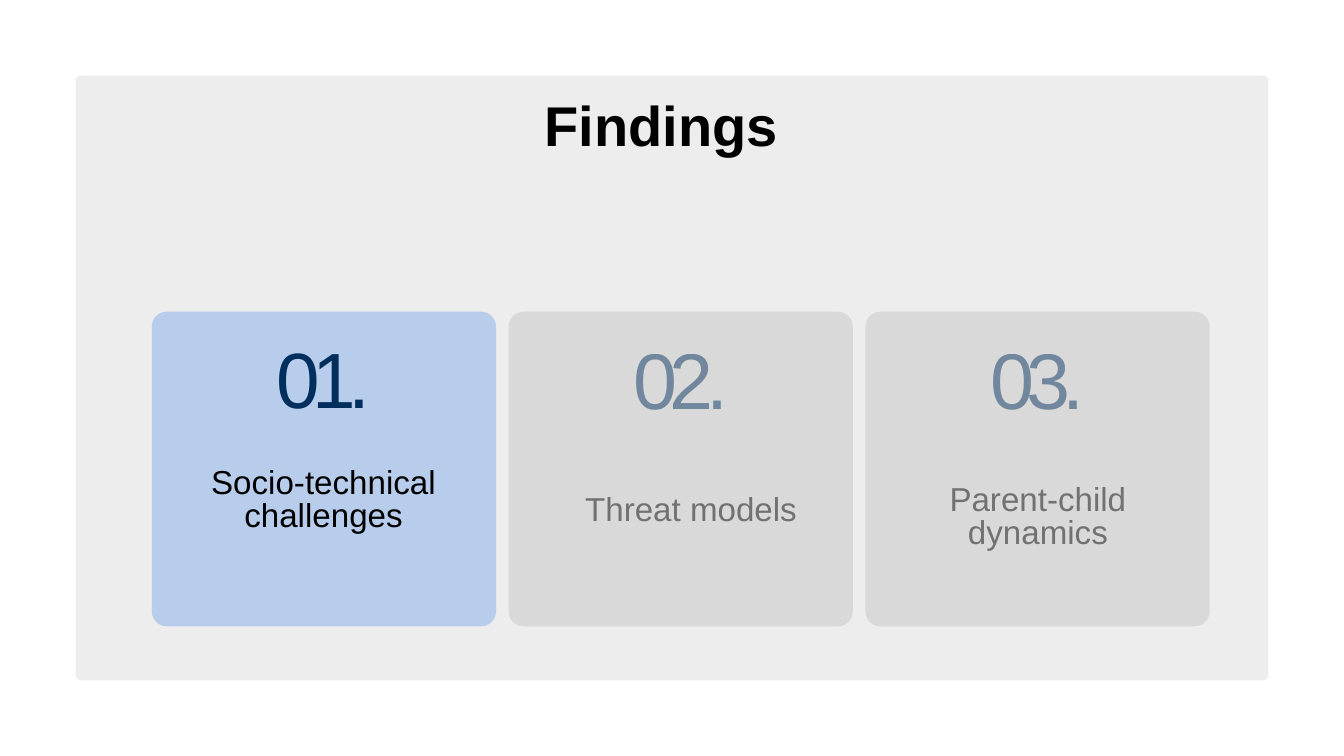
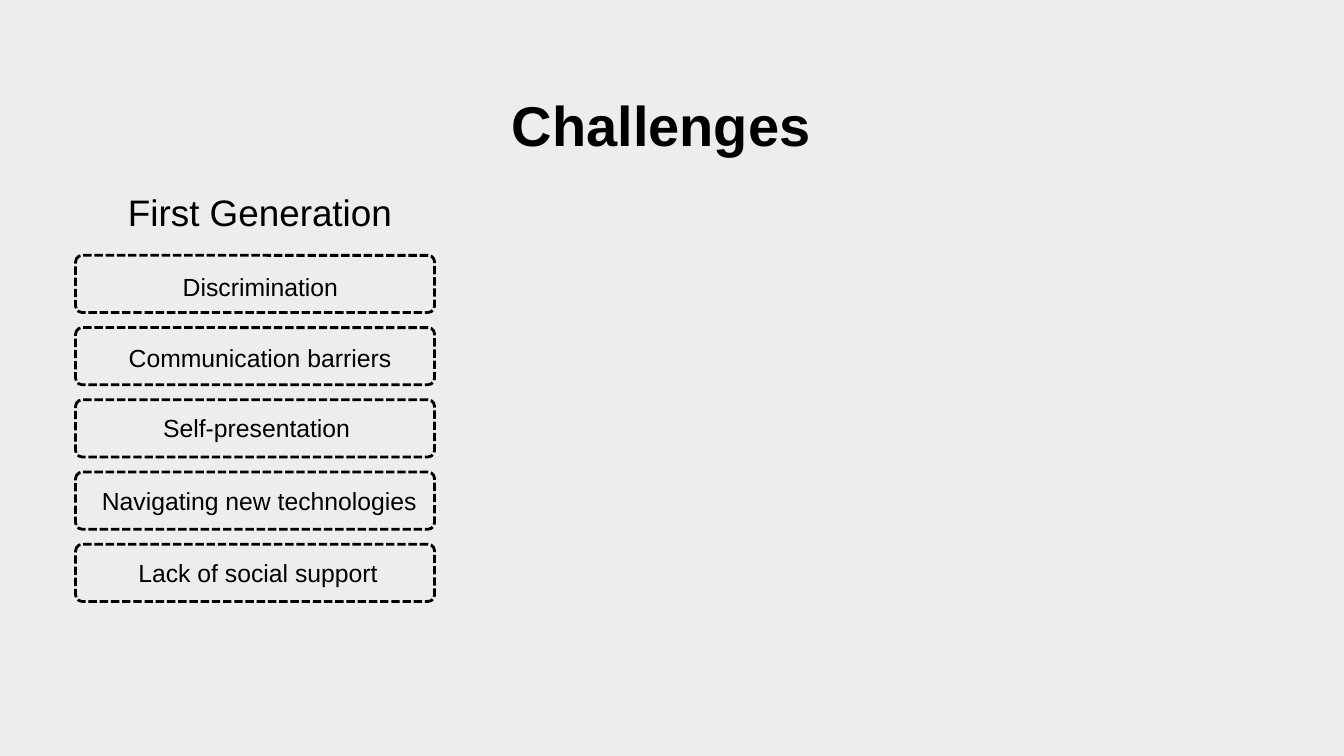
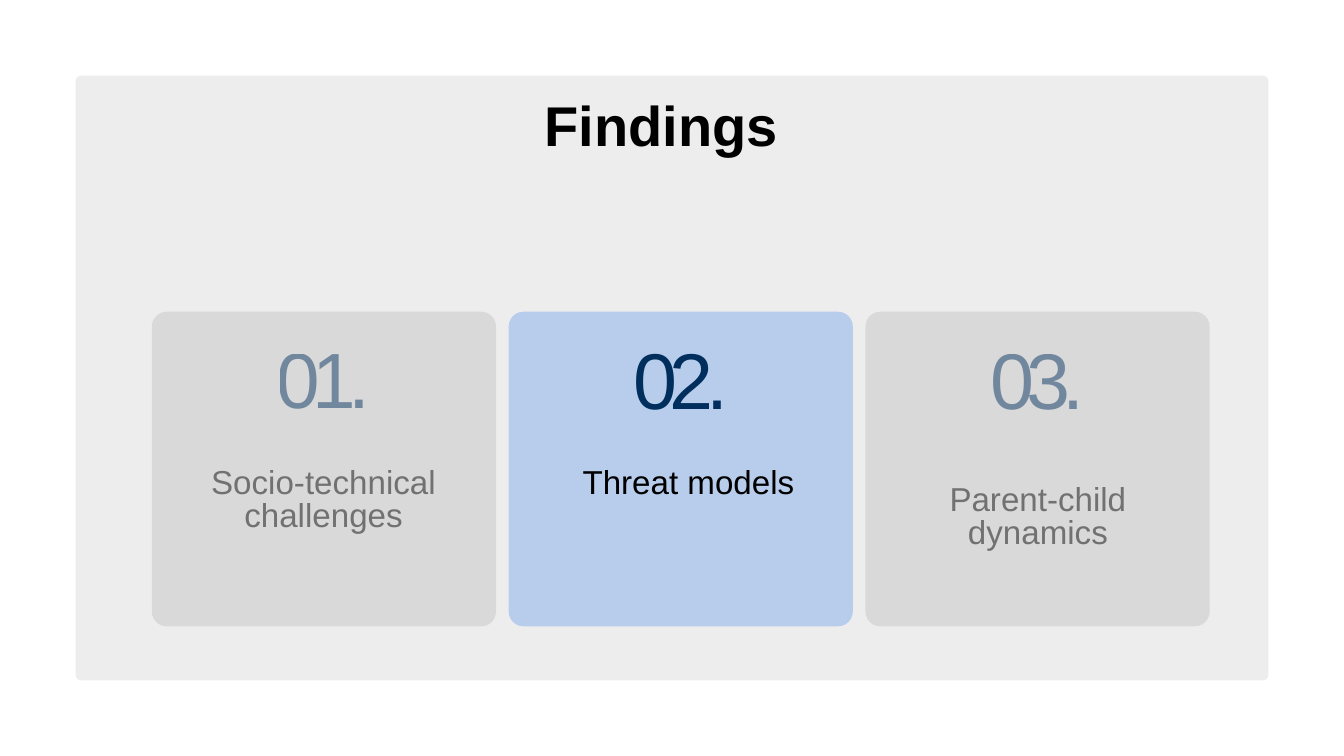
from dataclasses import dataclass

import lxml.etree
import pptx
import pptx.dml.color
import pptx.enum.dml
import pptx.enum.shapes
import pptx.enum.text
import pptx.oxml.ns
import pptx.shapes.autoshape
import pptx.slide
import pptx.util

Pt = pptx.util.Pt
RGBColor = pptx.dml.color.RGBColor

WHITE = RGBColor(0xFF, 0xFF, 0xFF)
BLACK = RGBColor(0x00, 0x00, 0x00)
NAVY = RGBColor(0x00, 0x2E, 0x5D)
BLUE = RGBColor(0xB7, 0xCD, 0xEB)
GREY = RGBColor(0xD9, 0xD9, 0xD9)
PALE = RGBColor(0xED, 0xED, 0xED)
FONT = "Arial"
FADED = 48


@dataclass(frozen=True)
class Box:
    left: float
    top: float
    width: float
    height: float


@dataclass(frozen=True)
class Style:
    size: float
    line: float
    color: RGBColor = BLACK
    bold: bool = False
    track: float = 0


@dataclass(frozen=True)
class Card:
    number: str
    style: Style
    label: str
    place: Box
    active: Box


@dataclass(frozen=True)
class Pill:
    label: str
    place: Box


TITLE = Style(60, 60, bold=True)
HEADING = Style(39.5, 55.3)
LABEL = Style(35.5, 35.5)
ITEM = Style(26.5, 37.1)
FIRST = Style(83.9, 80.5, NAVY, track=-8.1)
LATER = Style(84.7, 81.3, NAVY, track=-8.1)

PANEL = Box(81, 81, 1278, 648)
CARD = Box(162.7, 334, 368.8, 337)
CARD_STEP = 382.3
PILL = Box(81, 273.6, 384.6, 61.2)
PILL_STEP = 77.4

CARDS = [
    Card("01.", FIRST, "Socio-technical challenges",
         Box(194.4, 501.8, 304.6, 72), Box(194.4, 501.8, 304.6, 72)),
    Card("02.", LATER, "Threat models",
         Box(588.2, 530.6, 304.6, 36.7), Box(585.4, 501.8, 304.6, 36.7)),
    Card("03.", LATER, "Parent-child dynamics",
         Box(959.8, 519.8, 304.6, 71.3), Box(959.8, 519.8, 304.6, 71.3)),
]

PILLS = [
    Pill("Discrimination", Box(177.1, 285.8, 203.8, 34)),
    Pill("Communication barriers", Box(115.9, 362.2, 325.4, 35)),
    Pill("Self-presentation", Box(125, 437, 300, 34)),
    Pill("Navigating new technologies", Box(90.7, 514.8, 374.4, 34)),
    Pill("Lack of social support", Box(133.2, 591.8, 286.6, 34)),
]


def add_page(deck: pptx.presentation.Presentation, color: RGBColor,
             title: str) -> pptx.slide.Slide:
    slide = deck.slides.add_slide(deck.slide_layouts[6])
    slide.background.fill.solid()
    slide.background.fill.fore_color.rgb = color
    if color == WHITE:
        fill_shape(add_round(slide, PANEL, 6), PALE)
    add_text(slide, title, Box(368.6, 108.7, 679.7, 60.5), TITLE)
    return slide


def add_round(slide: pptx.slide.Slide, box: Box,
              curve: float) -> pptx.shapes.autoshape.Shape:
    shape = slide.shapes.add_shape(
        pptx.enum.shapes.MSO_SHAPE.ROUNDED_RECTANGLE,
        Pt(box.left), Pt(box.top), Pt(box.width), Pt(box.height))
    shape.adjustments[0] = curve / min(box.width, box.height)
    shape.shadow.inherit = False
    return shape


def fill_shape(shape: pptx.shapes.autoshape.Shape, color: RGBColor) -> None:
    shape.fill.solid()
    shape.fill.fore_color.rgb = color
    shape.line.fill.background()


def add_text(slide: pptx.slide.Slide, text: str, box: Box, style: Style,
             faded: bool = False) -> None:
    frame = slide.shapes.add_textbox(
        Pt(box.left), Pt(box.top), Pt(box.width), Pt(box.height)).text_frame
    frame.margin_left = frame.margin_right = Pt(0)
    frame.margin_top = frame.margin_bottom = Pt(0)
    frame.word_wrap = True
    frame.auto_size = pptx.enum.text.MSO_AUTO_SIZE.SHAPE_TO_FIT_TEXT
    para = frame.paragraphs[0]
    para.text = text
    para.alignment = pptx.enum.text.PP_ALIGN.CENTER
    para.line_spacing = Pt(style.line)
    para.font.name = FONT
    para.font.size = Pt(style.size)
    para.font.bold = style.bold
    para.font.color.rgb = style.color
    qn = pptx.oxml.ns.qn
    props = para._p.pPr.find(qn("a:defRPr"))
    if style.track:
        props.set("spc", str(round(style.track * 100)))
    if faded:
        tint = props.find(qn("a:solidFill")).find(qn("a:srgbClr"))
        lxml.etree.SubElement(tint, qn("a:alpha"), val=str(FADED * 1000))


def draw_cards(deck: pptx.presentation.Presentation, current: int) -> None:
    slide = add_page(deck, WHITE, "Findings")
    for index, card in enumerate(CARDS):
        active = index == current
        left = CARD.left + index * CARD_STEP
        box = Box(left, CARD.top, CARD.width, CARD.height)
        fill_shape(add_round(slide, box, 15.8), BLUE if active else GREY)
        add_text(slide, card.number, Box(left + 123.1, 374.4, 122.4, 82),
                 card.style, not active)
        add_text(slide, card.label, card.active if active else card.place,
                 LABEL, not active)


def draw_pills(deck: pptx.presentation.Presentation) -> None:
    slide = add_page(deck, PALE, "Challenges")
    add_text(slide, "First Generation", Box(115.9, 195.8, 325.4, 50.4), HEADING)
    for index, pill in enumerate(PILLS):
        top = PILL.top + index * PILL_STEP
        shape = add_round(slide, Box(PILL.left, top, PILL.width, PILL.height), 7)
        shape.fill.background()
        shape.line.color.rgb = BLACK
        shape.line.width = Pt(3)
        shape.line.dash_style = pptx.enum.dml.MSO_LINE.SQUARE_DOT
        add_text(slide, pill.label, pill.place, ITEM)


def main() -> None:
    deck = pptx.Presentation()
    deck.slide_width = Pt(1440)
    deck.slide_height = Pt(810)
    draw_cards(deck, 0)
    draw_pills(deck)
    draw_cards(deck, 1)
    deck.save("out.pptx")


if __name__ == "__main__":
    main()
